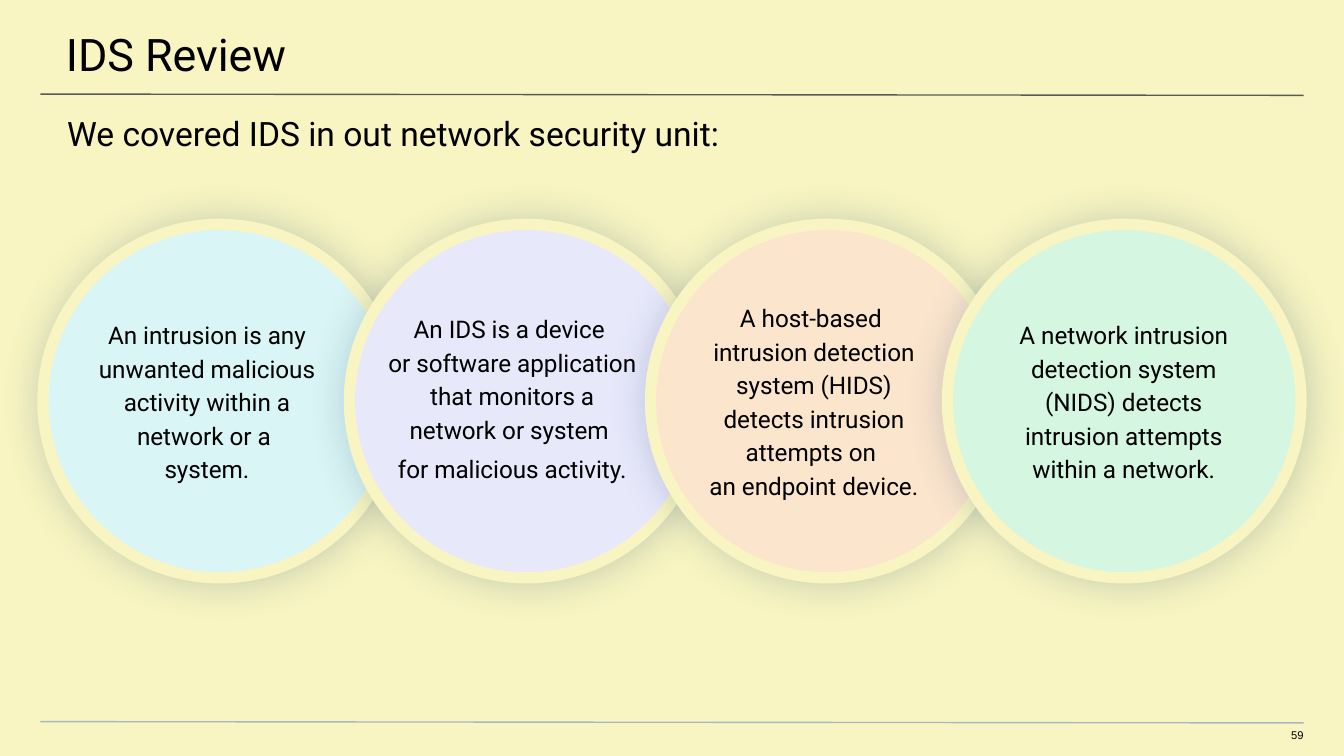
from lxml import etree
from pptx import Presentation
from pptx.dml.color import RGBColor
from pptx.enum.shapes import MSO_CONNECTOR, MSO_SHAPE
from pptx.enum.text import MSO_ANCHOR, MSO_AUTO_SIZE, PP_ALIGN
from pptx.oxml import parse_xml
from pptx.oxml.ns import nsdecls, qn
from pptx.util import Pt

STRAIGHT = MSO_CONNECTOR.STRAIGHT
OVAL = MSO_SHAPE.OVAL
TOP, MIDDLE = MSO_ANCHOR.TOP, MSO_ANCHOR.MIDDLE
LEFT, CENTER, RIGHT = PP_ALIGN.LEFT, PP_ALIGN.CENTER, PP_ALIGN.RIGHT
NO_AUTOFIT = MSO_AUTO_SIZE.NONE

BLACK = RGBColor(0x00, 0x00, 0x00)
CREAM = RGBColor(0xF8, 0xF5, 0xC2)
DARK_GRAY = RGBColor(0x59, 0x59, 0x59)
BLUE_GRAY = RGBColor(0xA9, 0xB7, 0xC0)
NAVY = RGBColor(0x07, 0x37, 0x63)
CYAN = RGBColor(0xDA, 0xF5, 0xF5)
LAVENDER = RGBColor(0xE8, 0xE8, 0xFB)
PEACH = RGBColor(0xFC, 0xE5, 0xCD)
MINT = RGBColor(0xD5, 0xF6, 0xE1)

TITLE_ONLY = 5
CIRCLE_TOP, CIRCLE_SIZE = 120.2, 189.4
TEXT_INSET = (7.2, 7.2, 7.2, 7.2)

# Circle left, fill, text box (left, top, width, height), paragraphs
TOPICS = [
    (23, CYAN, (36.7, 125.3, 148.3, 177.8),
     ["An intrusion is any unwanted malicious activity within a network or a \nsystem."]),
    (187.2, LAVENDER, (200.2, 121.7, 148.3, 181.4),
     ["An IDS is a device \nor software application that monitors a network or system ",
      "for malicious activity."]),
    (348.5, PEACH, (364.3, 125.3, 143.3, 177.8),
     ["A host-based \nintrusion detection system (HIDS) detects intrusion attempts on "
      "\nan endpoint device."]),
    (507.6, MINT, (527.8, 125.3, 148.3, 177.8),
     ["A network intrusion detection system (NIDS) detects intrusion attempts "
      "within a network."]),
]


def set_attributes(target, values):
    for name, value in values.items():
        setattr(target, name, value)


def place(shape, box):
    set_attributes(shape, dict(zip(("left", "top", "width", "height"), map(Pt, box))))


def write_text(shape, paragraphs, size, insets, font="Roboto", alignment=LEFT,
               anchor=TOP, line_spacing=1.0):
    """Fill a shape with paragraphs; insets are left, top, right, bottom."""
    frame = shape.text_frame
    margins = ("margin_left", "margin_top", "margin_right", "margin_bottom")
    set_attributes(frame, {"word_wrap": True, "auto_size": NO_AUTOFIT,
                           "vertical_anchor": anchor,
                           **dict(zip(margins, map(Pt, insets)))})
    for index, text in enumerate(paragraphs):
        paragraph = frame.add_paragraph() if index else frame.paragraphs[0]
        paragraph.text = text
        set_attributes(paragraph, {"alignment": alignment, "line_spacing": line_spacing,
                                   "space_before": Pt(3 if index else 0)})
        set_attributes(paragraph.font, {"name": font, "size": Pt(size), "bold": False})
        paragraph.font.color.rgb = BLACK


def add_text(slide, box, paragraphs, size, insets, **text_format):
    text_box = slide.shapes.add_textbox(*map(Pt, box))
    write_text(text_box, paragraphs, size, insets, **text_format)


def add_title(slide, text):
    title = slide.shapes.title
    place(title, (-0.72, 0, 722, 41.8))
    write_text(title, [text], 24, (36, 14.4, 21.6, 7.2))


def add_rule(slide, top, color):
    rule = slide.shapes.add_connector(STRAIGHT, Pt(21.6), Pt(top), Pt(698.4), Pt(top + 0.7))
    rule.line.width = Pt(0.75)
    rule.line.color.rgb = color
    etree.SubElement(rule._element.spPr, qn("a:effectLst"))


def add_circle(slide, left, color):
    circle = slide.shapes.add_shape(OVAL, Pt(left), Pt(CIRCLE_TOP),
                                    Pt(CIRCLE_SIZE), Pt(CIRCLE_SIZE))
    circle.fill.solid()
    circle.fill.fore_color.rgb = color
    circle.line.width = Pt(6)
    circle.line.color.rgb = CREAM
    circle.shadow.inherit = False
    effects = circle._element.spPr.find(qn("a:effectLst"))
    effects.append(parse_xml(
        f'<a:outerShdw {nsdecls("a")} blurRad="{Pt(21.4)}" dist="{Pt(0.8)}" dir="0" '
        f'algn="bl" rotWithShape="0"><a:srgbClr val="{NAVY}">'
        '<a:alpha val="22000"/></a:srgbClr></a:outerShdw>'))


def main():
    presentation = Presentation()
    presentation.slide_width, presentation.slide_height = Pt(720), Pt(405)
    slide = presentation.slides.add_slide(presentation.slide_layouts[TITLE_ONLY])
    slide.background.fill.solid()
    slide.background.fill.fore_color.rgb = CREAM

    add_title(slide, "IDS Review")
    add_rule(slide, 50.4, DARK_GRAY)
    add_rule(slide, 386.6, BLUE_GRAY)
    add_text(slide, (677.5, 390.2, 20.9, 8.6), ["59"], 6, (0, 0, 0, 7.2),
             font="Arial", alignment=RIGHT)
    add_text(slide, (0, 53.3, 720, 28.8),
             ["We covered IDS in out network security unit:"], 18, (36, 7.2, 36, 0))

    for left, color, _, _ in TOPICS:
        add_circle(slide, left, color)
    for _, _, box, paragraphs in TOPICS:
        add_text(slide, box, paragraphs, 13, TEXT_INSET,
                 alignment=CENTER, anchor=MIDDLE, line_spacing=1.15)

    presentation.save("out.pptx")


if __name__ == "__main__":
    main()
